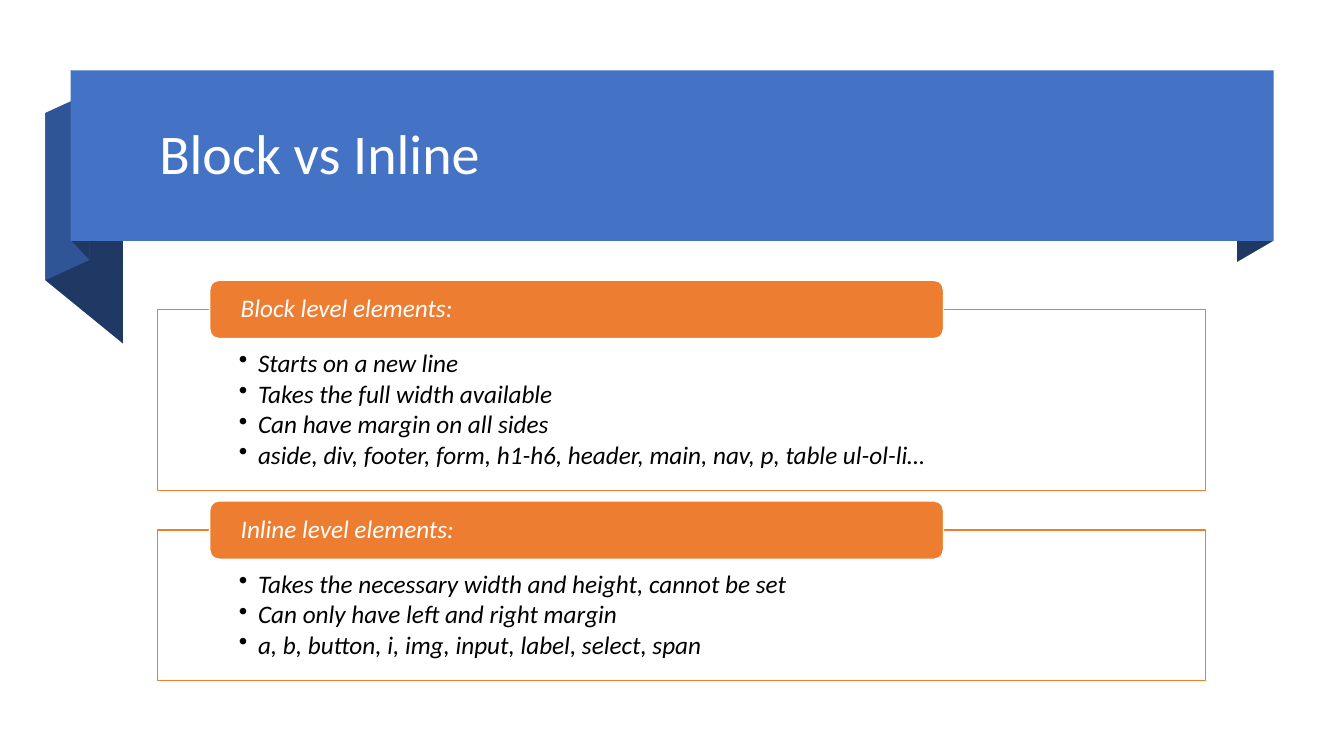
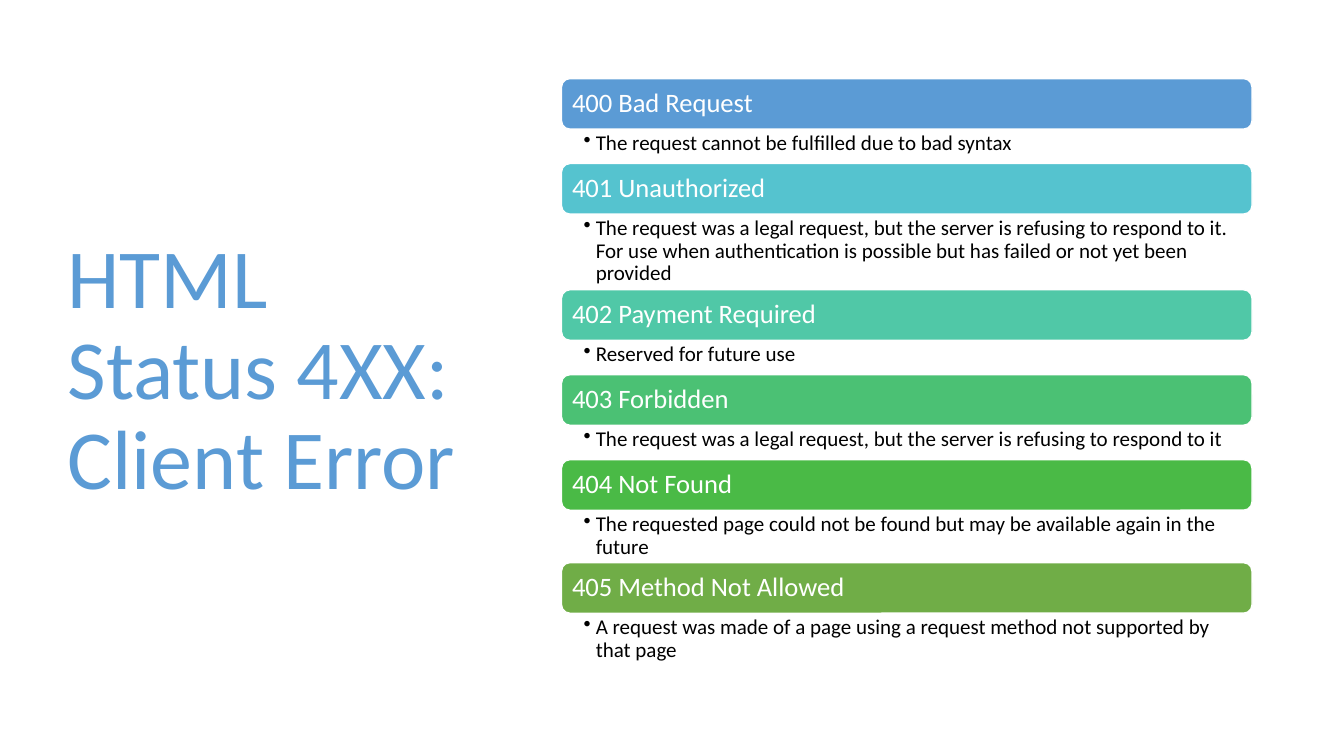
from dataclasses import dataclass

from lxml.etree import SubElement
from pptx import Presentation
from pptx.dml.color import RGBColor
from pptx.enum.shapes import MSO_SHAPE
from pptx.enum.text import MSO_ANCHOR, MSO_AUTO_SIZE, PP_ALIGN
from pptx.oxml.ns import qn
from pptx.util import Inches, Pt

FONT = "Calibri"
WHITE = RGBColor(0xFF, 0xFF, 0xFF)
BLACK = RGBColor(0, 0, 0)
BLUE = RGBColor(0x44, 0x72, 0xC4)
MID_BLUE = RGBColor(0x2F, 0x55, 0x97)
NAVY = RGBColor(0x20, 0x38, 0x64)
ORANGE = RGBColor(0xED, 0x7D, 0x31)
SKY = RGBColor(0x5B, 0x9B, 0xD5)
TURQUOISE = RGBColor(0x55, 0xC3, 0xCF)
MINT = RGBColor(0x50, 0xC8, 0xA7)
EMERALD = RGBColor(0x4B, 0xC1, 0x74)
GREEN = RGBColor(0x4A, 0xBA, 0x46)
OLIVE = RGBColor(0x70, 0xAD, 0x47)


@dataclass
class Box:
    left: int
    top: int
    width: int
    height: int

    def point(self, x, y):
        """Turn percentages of this box into a place on the slide."""
        return (round(self.left + self.width * x / 100),
                round(self.top + self.height * y / 100))

    def inner(self, left, top, width, height):
        """Return an inner box given in percentages of this one."""
        return Box(*self.point(left, top), round(self.width * width / 100),
                   round(self.height * height / 100))

    def place(self):
        return self.left, self.top, self.width, self.height


SLIDE = Box(0, 0, Inches(13.33), Inches(7.5))

# Ribbon folds: x and top of each upright edge, edge height (% of band), colour
FOLDS = [
    (96.98, 12.4, 100, 0, 100, NAVY),
    (-2.1, 24.9, 4.36, 62.1, 98.2, NAVY),
    (-2.1, 24.9, 1.59, 13, 98.2, MID_BLUE),
    (0.08, 0, 1.59, 11.2, 100, NAVY),
]

PANELS = [
    ("Block level elements:", [
        "Starts on a new line",
        "Takes the full width available",
        "Can have margin on all sides",
        "aside, div, footer, form, h1-h6, header, main, nav, p, table ul-ol-li…",
    ]),
    ("Inline level elements:", [
        "Takes the necessary width and height, cannot be set",
        "Can only have left and right margin",
        "a, b, button, i, img, input, label, select, span",
    ]),
]

# Height of a status description by its number of lines (% of slide)
DETAIL_HEIGHTS = {1: 4.55, 2: 6.93, 3: 10}
STATUSES = [
    ("400 Bad Request", SKY, 1,
     "The request cannot be fulfilled due to bad syntax"),
    ("401 Unauthorized", TURQUOISE, 3,
     "The request was a legal request, but the server is refusing to respond "
     "to it. For use when authentication is possible but has failed or not "
     "yet been provided"),
    ("402 Payment Required", MINT, 1, "Reserved for future use"),
    ("403 Forbidden", EMERALD, 1,
     "The request was a legal request, but the server is refusing to respond to it"),
    ("404 Not Found", GREEN, 2,
     "The requested page could not be found but may be available again in the future"),
    ("405 Method Not Allowed", OLIVE, 2,
     "A request was made of a page using a request method not supported by that page"),
]


def write(shape, lines, *, size, color, italic=False, anchor=MSO_ANCHOR.TOP,
          insets=(0.1, 0.05, 0.1, 0.05), bullet=0, after=0):
    """Fill a shape with paragraphs; bullet is the hanging indent in inches."""
    frame = shape.text_frame
    frame.word_wrap = True
    frame.auto_size = MSO_AUTO_SIZE.NONE
    frame.vertical_anchor = anchor
    (frame.margin_left, frame.margin_top,
     frame.margin_right, frame.margin_bottom) = map(Inches, insets)
    for index, line in enumerate(lines):
        para = frame.add_paragraph() if index else frame.paragraphs[0]
        if bullet:
            properties = para._p.get_or_add_pPr()
            properties.set("marL", str(Inches(bullet)))
            properties.set("indent", str(-Inches(bullet)))
            SubElement(properties, qn("a:buChar")).set("char", "•")
        para.alignment = PP_ALIGN.LEFT
        para.line_spacing = 0.9
        para.space_after = Pt(after)
        span = para.add_run()
        span.text = line
        span.font.name = FONT
        span.font.size = Pt(size)
        span.font.italic = italic
        span.font.color.rgb = color


def paint(shape, fill, line=None):
    shape.shadow.inherit = False
    shape.fill.solid()
    shape.fill.fore_color.rgb = fill
    if line is None:
        shape.line.fill.background()
    else:
        shape.line.color.rgb = line
        shape.line.width = Pt(1)


def add_block(page, box, fill, line=None, kind=MSO_SHAPE.RECTANGLE):
    block = page.shapes.add_shape(kind, *box.place())
    paint(block, fill, line)
    return block


def add_heading(page, box, text, fill, **text_format):
    bar = add_block(page, box, fill, WHITE, MSO_SHAPE.ROUNDED_RECTANGLE)
    write(bar, [text], color=WHITE, anchor=MSO_ANCHOR.MIDDLE, **text_format)


def set_title(page, box, text, size, color):
    title = page.shapes.title
    title.left, title.top, title.width, title.height = box.place()
    write(title, [text], size=size, color=color, anchor=MSO_ANCHOR.MIDDLE)
    # Keep the title in front of any band
    page.shapes._spTree.append(title._element)


def add_ribbon(page, band):
    for x1, top1, x2, top2, height, color in FOLDS:
        outline = page.shapes.build_freeform(*band.point(x1, top1))
        outline.add_line_segments([
            band.point(x2, top2), band.point(x2, top2 + height),
            band.point(x1, top1 + height)])
        paint(outline.convert_to_shape(), color)
    add_block(page, band, BLUE)


def add_panel(page, box, heading, items):
    panel = add_block(page, box, WHITE, ORANGE)
    write(panel, items, size=18, color=BLACK, italic=True, bullet=0.19,
          insets=(0.81, 0.41, 0.81, 0.14), after=2.5)
    # The heading straddles the top edge of the panel
    bar = box.inner(5, 0, 70, 0)
    bar.height = Inches(0.58)
    bar.top -= bar.height // 2
    add_heading(page, bar, heading, ORANGE, size=18, italic=True,
                insets=(0.28, 0, 0.28, 0))


def build_panel_slide(page):
    add_ribbon(page, SLIDE.inner(5.25, 9.33, 89.5, 22.53))
    set_title(page, SLIDE.inner(11.1, 11.07, 82.05, 19.33),
              "Block vs Inline", 40, WHITE)
    top = 40.93
    for heading, items in PANELS:
        height = 7.47 + 4.13 * len(items)
        add_panel(page, SLIDE.inner(11.7, top, 78, height), heading, items)
        top += height + 5.2


def build_status_slide(page):
    set_title(page, SLIDE.inner(4.28, 9.07, 31.2, 80.27),
              "HTML Status 4XX: Client Error", 60, SKY)
    left, top, width, bar_height = 41.78, 10.4, 51.38, 6.69
    for heading, color, line_count, detail in STATUSES:
        add_heading(page, SLIDE.inner(left, top, width, bar_height), heading,
                    color, size=19, insets=(0.08,) * 4)
        top += bar_height
        height = DETAIL_HEIGHTS[line_count]
        note = page.shapes.add_textbox(
            *SLIDE.inner(left, top, width, height).place())
        write(note, [detail], size=15, color=BLACK, bullet=0.12,
              insets=(0.22, 0.03, 0.15, 0.03))
        top += height


def main():
    deck = Presentation()
    deck.slide_width, deck.slide_height = SLIDE.width, SLIDE.height
    title_only = deck.slide_layouts[5]
    for build in (build_panel_slide, build_status_slide):
        build(deck.slides.add_slide(title_only))
    deck.save("out.pptx")


if __name__ == "__main__":
    main()
